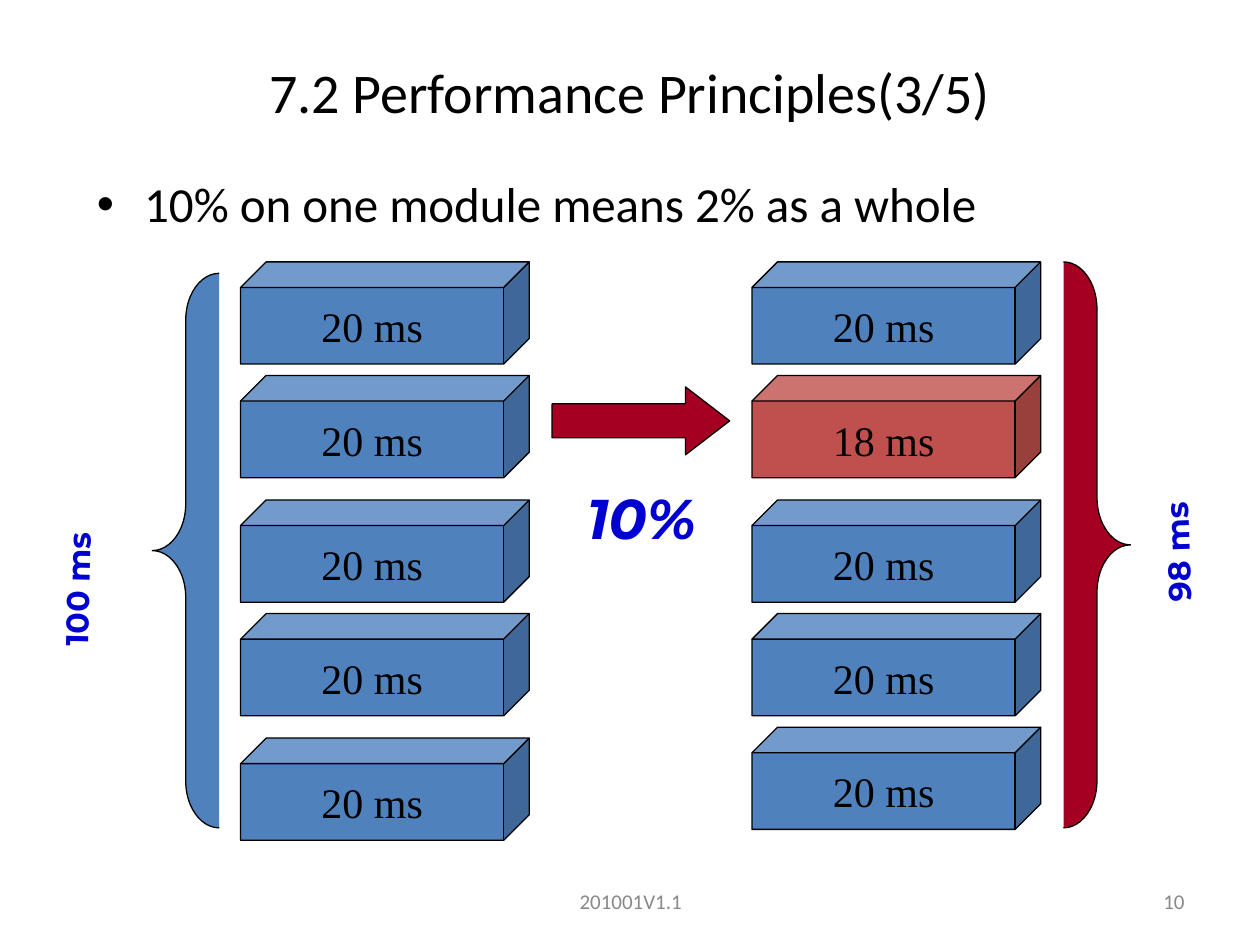
import pptx
import pptx.util
import pptx.dml.color
import pptx.enum.shapes
import pptx.enum.text

Cm = pptx.util.Cm
Pt = pptx.util.Pt
SHAPE = pptx.enum.shapes.MSO_SHAPE
ALIGN = pptx.enum.text.PP_ALIGN
ANCHOR = pptx.enum.text.MSO_ANCHOR

COLOURS = {"black": "000000", "grey": "898989", "blue": "4F81BD",
           "red": "C0504D", "crimson": "A50021", "label": "0000D0"}

TITLE = "7.2\u00a0Performance Principles(3/5)"
BULLET = "10% on one module means 2% as a whole"

TITLE_FONT = {"name": "Calibri", "size": Pt(32), "colour": "black"}
BULLET_FONT = {"name": "Calibri", "size": Pt(28), "colour": "black"}
FOOTER_FONT = {"name": "Calibri", "size": Pt(12), "colour": "grey"}
MODULE_FONT = {"name": "Times New Roman", "size": Pt(24), "colour": "black"}
TOTAL_FONT = {"name": "Montserrat", "size": Pt(18), "bold": True, "colour": "label"}
GAIN_FONT = {**TOTAL_FONT, "size": Pt(32), "italic": True}

# Each stack: left edge, then (label, colour, top) for every module, in cm
MODULE_SIZE = (5.82, 2.06)
UPPER_TOPS = (5.28, 7.57, 10.08, 12.37)
STACKS = [
    (4.85, ["20 ms"] * 5, ["blue"] * 5, (*UPPER_TOPS, 14.88)),
    (15.16, ["20 ms", "18 ms", "20 ms", "20 ms", "20 ms"],
     ["blue", "red", "blue", "blue", "blue"], (*UPPER_TOPS, 14.66)),
]

# Preset, box in cm, fill, adjustments
MARKS = [
    (SHAPE.RIGHT_ARROW, (11.13, 7.8, 3.58, 1.37), "crimson", (0.5, 0.65)),
    (SHAPE.RIGHT_BRACE, (21.44, 5.28, 1.35, 11.41), "crimson", (0.71, 0.5)),
    (SHAPE.LEFT_BRACE, (3.07, 5.51, 1.35, 11.18), "blue", (0.7, 0.5)),
]

# Text, box in cm, rotation, font
LABELS = [
    ("10%", (11.58, 9.63, 2.82, 1.7), 0, GAIN_FONT),
    ("98 ms", (22.17, 9.98, 3.43, 1.35), 268.1, TOTAL_FONT),
    ("100 ms", (-0.1, 10.11, 4.34, 2.01), 271.4, TOTAL_FONT),
]

# Text, box in cm, alignment
FOOTERS = [
    ("201001V1.1", (8.69, 17.65, 8.05, 1.02), ALIGN.CENTER),
    ("10", (18.21, 17.65, 5.92, 1.02), ALIGN.RIGHT),
]


def rgb(name):
    """Return the named colour."""
    return pptx.dml.color.RGBColor.from_string(COLOURS[name])


def lengths(box):
    """Turn a box in centimetres into lengths."""
    return [Cm(value) for value in box]


def write(shape, text, font, align=ALIGN.LEFT, anchor=ANCHOR.TOP, wrap=False):
    """Put one formatted paragraph in a shape and return it."""
    frame = shape.text_frame
    frame.word_wrap = wrap
    frame.vertical_anchor = anchor
    paragraph = frame.paragraphs[0]
    paragraph.alignment = align
    run = paragraph.add_run()
    run.text = text
    for key, value in font.items():
        if key == "colour":
            run.font.color.rgb = rgb(value)
        else:
            setattr(run.font, key, value)
    return paragraph


def add_solid(slide, preset, box, fill, adjustments):
    """Add a filled preset shape with a thin black outline."""
    shape = slide.shapes.add_shape(preset, *lengths(box))
    shape.shadow.inherit = False
    shape.fill.solid()
    shape.fill.fore_color.rgb = rgb(fill)
    shape.line.color.rgb = rgb("black")
    shape.line.width = Pt(0.74)
    for index, value in enumerate(adjustments):
        shape.adjustments[index] = value
    return shape


def place(shape, box):
    """Move and size a placeholder."""
    for key, value in zip(("left", "top", "width", "height"), lengths(box)):
        setattr(shape, key, value)


presentation = pptx.Presentation()
presentation.slide_width = Cm(25.4)
presentation.slide_height = Cm(19.05)
slide = presentation.slides.add_slide(presentation.slide_layouts[1])

title, body = slide.placeholders
place(title, (0, 0.76, 25.4, 2.16))
write(title, TITLE, TITLE_FONT, ALIGN.CENTER, ANCHOR.MIDDLE, True)
place(body, (1.7, 3.38, 22.23, 13.77))
write(body, BULLET, BULLET_FONT, wrap=True).space_before = Pt(7)

for text, box, align in FOOTERS:
    footer = slide.shapes.add_textbox(*lengths(box))
    write(footer, text, FOOTER_FONT, align, ANCHOR.MIDDLE, True)

for left, names, fills, tops in STACKS:
    for name, fill, top in zip(names, fills, tops):
        module = add_solid(slide, SHAPE.CUBE, (left, top, *MODULE_SIZE), fill, (0.25,))
        write(module, name, MODULE_FONT, ALIGN.CENTER, ANCHOR.MIDDLE)

for mark in MARKS:
    add_solid(slide, *mark)

for text, box, rotation, font in LABELS:
    label = slide.shapes.add_textbox(*lengths(box))
    label.rotation = rotation
    write(label, text, font)

presentation.save("out.pptx")
